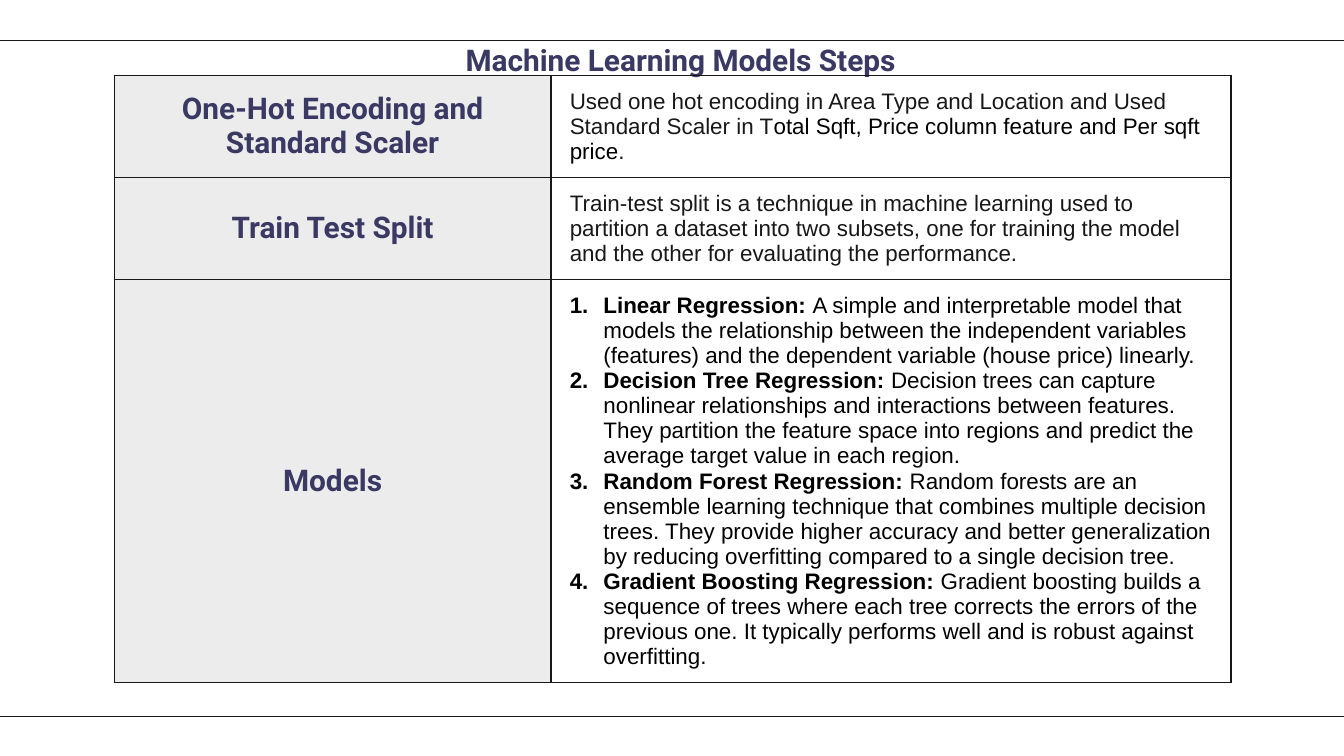
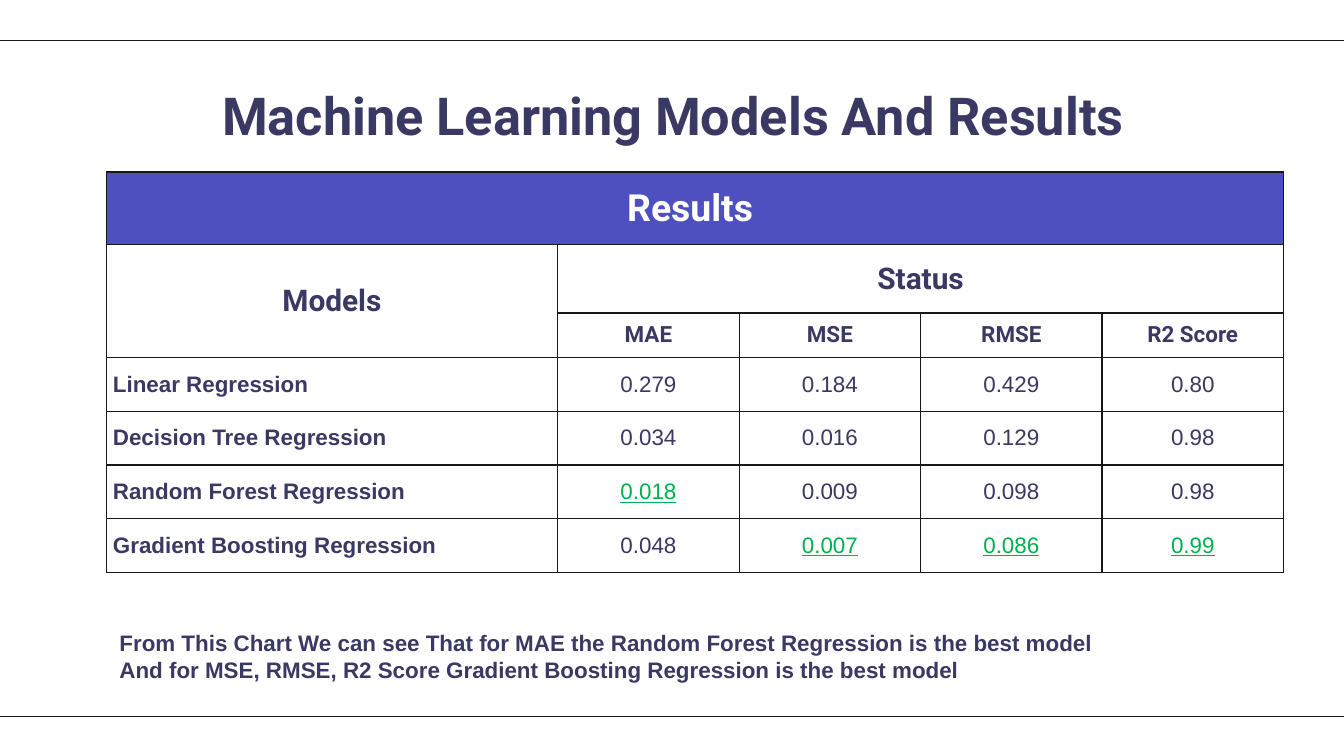
from lxml import etree
from pptx import Presentation
from pptx.dml.color import RGBColor
from pptx.enum.shapes import MSO_CONNECTOR
from pptx.enum.text import MSO_ANCHOR, MSO_AUTO_SIZE, PP_ALIGN
from pptx.oxml.ns import qn
from pptx.util import Inches, Pt

COLORS = {"ink": "181818", "black": "000000", "navy": "3A3963", "white": "FFFFFF",
          "gray": "ECECEC", "indigo": "4F50C0", "green": "00B050"}

HEADING = {"name": "Roboto", "size": Pt(16), "bold": True, "color": "navy"}
SUBHEADING = {**HEADING, "size": Pt(12)}
BANNER = {**HEADING, "size": Pt(20), "color": "white"}
BODY = {"name": "Arial", "size": Pt(12), "bold": False, "color": "ink"}
BLACK = {**BODY, "color": "black"}
TERM = {**BLACK, "bold": True}
LABEL = {**BODY, "bold": True, "color": "navy"}
VALUE = {**BODY, "color": "navy"}
BEST = {**VALUE, "color": "green", "underline": True}

BAND_TOPS = (0.3, 5.33)
LINE_WIDTH = Pt(0.75)

STEPS_TITLE = "Machine Learning Models Steps"
MODELS = [
    ("Linear Regression",
     "A simple and interpretable model that models the relationship between the independent "
     "variables (features) and the dependent variable (house price) linearly."),
    ("Decision Tree Regression",
     "Decision trees can capture nonlinear relationships and interactions between features. "
     "They partition the feature space into regions and predict the average target value in "
     "each region."),
    ("Random Forest Regression",
     "Random forests are an ensemble learning technique that combines multiple decision trees. "
     "They provide higher accuracy and better generalization by reducing overfitting compared "
     "to a single decision tree."),
    ("Gradient Boosting Regression",
     "Gradient boosting builds a sequence of trees where each tree corrects the errors of the "
     "previous one. It typically performs well and is robust against overfitting."),
]
# Each step: name, row height, paragraphs made of (text, format) spans
STEPS = [
    ("One-Hot Encoding and Standard Scaler", 0.53,
     [[("Used one hot encoding in Area Type and Location and Used Standard Scaler in T", BODY),
       ("otal Sqft, Price column feature and Per sqft price", BLACK), (".", BODY)]]),
    ("Train Test Split", 0.58,
     [[("Train-test split is a technique in machine learning used to partition a dataset into "
        "two subsets, one for training the model and the other for evaluating the performance.",
        BODY)]]),
    ("Models", 2.31,
     [[(f"{name}: ", TERM), (text, BLACK)] for name, text in MODELS]),
]

RESULTS_TITLE = "Machine Learning Models And Results"
METRICS = ["MAE", "MSE", "RMSE", "R2 Score"]
SCORES = [
    ["0.279", "0.184", "0.429", "0.80"],
    ["0.034", "0.016", "0.129", "0.98"],
    ["0.018", "0.009", "0.098", "0.98"],
    ["0.048", "0.007", "0.086", "0.99"],
]
BEST_SCORES = ["0.018", "0.007", "0.086", "0.99"]
CONCLUSION = [
    "From This Chart We can see That for MAE the Random Forest Regression is the best model",
    "And for MSE, RMSE, R2 Score Gradient Boosting Regression is the best model",
]


def rgb(name):
    return RGBColor.from_string(COLORS[name])


def write(frame, paragraphs, align=PP_ALIGN.LEFT):
    """Fill a text frame with paragraphs, each a list of (text, format) spans."""
    for index, spans in enumerate(paragraphs):
        para = frame.add_paragraph() if index else frame.paragraphs[0]
        para.alignment = align
        for text, style in spans:
            span = para.add_run()
            span.text = text
            for key, value in style.items():
                if key == "color":
                    span.font.color.rgb = rgb(value)
                else:
                    setattr(span.font, key, value)


def set_margins(target, across, down):
    target.margin_left = target.margin_right = Inches(across)
    target.margin_top = target.margin_bottom = Inches(down)


def number_paragraphs(frame):
    for para in frame.paragraphs:
        props = para._p.get_or_add_pPr()
        props.set("marL", str(Inches(0.25)))
        props.set("indent", str(-Inches(0.25)))
        color = etree.SubElement(props, qn("a:buClr"))
        etree.SubElement(color, qn("a:srgbClr"), val=COLORS["black"])
        etree.SubElement(props, qn("a:buAutoNum"), type="arabicPeriod")


def border(cell):
    props = cell._tc.get_or_add_tcPr()
    for index, side in enumerate(("lnL", "lnR", "lnT", "lnB")):
        line = etree.Element(qn(f"a:{side}"), w=str(LINE_WIDTH))
        fill = etree.SubElement(line, qn("a:solidFill"))
        etree.SubElement(fill, qn("a:srgbClr"), val=COLORS["ink"])
        props.insert(index, line)


def add_grid(page, left, top, widths, heights):
    """Add a bordered table without fills and return its frame."""
    frame = page.shapes.add_table(len(heights), len(widths), Inches(left), Inches(top),
                                  Inches(sum(widths)), Inches(sum(heights)))
    table = frame.table
    table.first_row = table.horz_banding = False
    for column, width in zip(table.columns, widths):
        column.width = Inches(width)
    for row, height in zip(table.rows, heights):
        row.height = Inches(height)
    for cell in table.iter_cells():
        cell.fill.background()
        border(cell)
    return frame


def fill_cell(cell, paragraphs, align=PP_ALIGN.CENTER, margins=(0.1, 0.1), fill=None):
    cell.vertical_anchor = MSO_ANCHOR.MIDDLE
    set_margins(cell, *margins)
    write(cell.text_frame, paragraphs, align)
    if fill:
        cell.fill.solid()
        cell.fill.fore_color.rgb = rgb(fill)


def add_bands(deck, layout, page):
    """Draw the two rules and move them to the layout, so every page shows them."""
    for index, top in enumerate(BAND_TOPS):
        rule = page.shapes.add_connector(MSO_CONNECTOR.STRAIGHT, deck.slide_width, Inches(top),
                                         0, Inches(top))
        rule.line.color.rgb = rgb("ink")
        rule.line.width = LINE_WIDTH
        etree.SubElement(rule.element.spPr, qn("a:effectLst"))
        rule.element.nvCxnSpPr.cNvPr.set("id", str(100 + index))
        layout.shapes.element.append(rule.element)


def set_title(page, text, left, top, size):
    title = page.shapes.title
    title.left, title.top, title.width, title.height = map(Inches, (left, top, 8.43, 0.63))
    frame = title.text_frame
    frame.word_wrap = True
    frame.auto_size = MSO_AUTO_SIZE.NONE
    frame.vertical_anchor = MSO_ANCHOR.TOP
    set_margins(frame, 0.1, 0.1)
    write(frame, [[(text, {**HEADING, "size": Pt(size)})]], PP_ALIGN.CENTER)


def build_steps(page):
    set_title(page, STEPS_TITLE, 0.85, 0.21, 16)
    frame = add_grid(page, 0.85, 0.56, [3.25, 5.06], [height for _, height, _ in STEPS])
    frame.height = Inches(4.73)
    for row, (name, _, paragraphs) in enumerate(STEPS):
        fill_cell(frame.table.cell(row, 0), [[(name, HEADING)]], fill="gray")
        detail = frame.table.cell(row, 1)
        fill_cell(detail, paragraphs, PP_ALIGN.LEFT, (0.14, 0.1))
        if len(paragraphs) > 1:
            number_paragraphs(detail.text_frame)


def build_results(page):
    set_title(page, RESULTS_TITLE, 0.79, 0.52, 28)
    heights = [0.54, 0.51, 0.33] + [0.4] * len(MODELS)
    table = add_grid(page, 0.79, 1.28, [3.36] + [1.35] * len(METRICS), heights).table
    last = len(METRICS)
    for start, end in [((0, 0), (0, last)), ((1, 0), (2, 0)), ((1, 1), (1, last))]:
        table.cell(*start).merge(table.cell(*end))
    fill_cell(table.cell(0, 0), [[("Results ", BANNER)]], fill="indigo")
    fill_cell(table.cell(1, 0), [[("Models", HEADING)]])
    fill_cell(table.cell(1, 1), [[("Status", HEADING)]])

    tight = (0.05, 0.05)
    for column, metric in enumerate(METRICS, 1):
        fill_cell(table.cell(2, column), [[(metric, SUBHEADING)]], margins=tight)
    for row, ((name, _), scores) in enumerate(zip(MODELS, SCORES), 3):
        fill_cell(table.cell(row, 0), [[(name, LABEL)]], PP_ALIGN.LEFT, tight)
        for column, (score, best) in enumerate(zip(scores, BEST_SCORES), 1):
            style = BEST if score == best else VALUE
            fill_cell(table.cell(row, column), [[(score, style)]], margins=tight)

    box = page.shapes.add_textbox(*map(Inches, (0.79, 4.38, 8.75, 0.72)))
    frame = box.text_frame
    frame.word_wrap = True
    set_margins(frame, 0.1, 0.1)
    frame.margin_top = Inches(0.3)
    write(frame, [[(line, LABEL)] for line in CONCLUSION])


def main():
    deck = Presentation()
    deck.slide_width = Inches(10)
    deck.slide_height = deck.slide_width * 9 // 16
    layout = deck.slide_layouts[5]
    pages = [deck.slides.add_slide(layout) for _ in range(2)]
    add_bands(deck, layout, pages[0])
    build_steps(pages[0])
    build_results(pages[1])
    deck.save("out.pptx")


if __name__ == "__main__":
    main()
